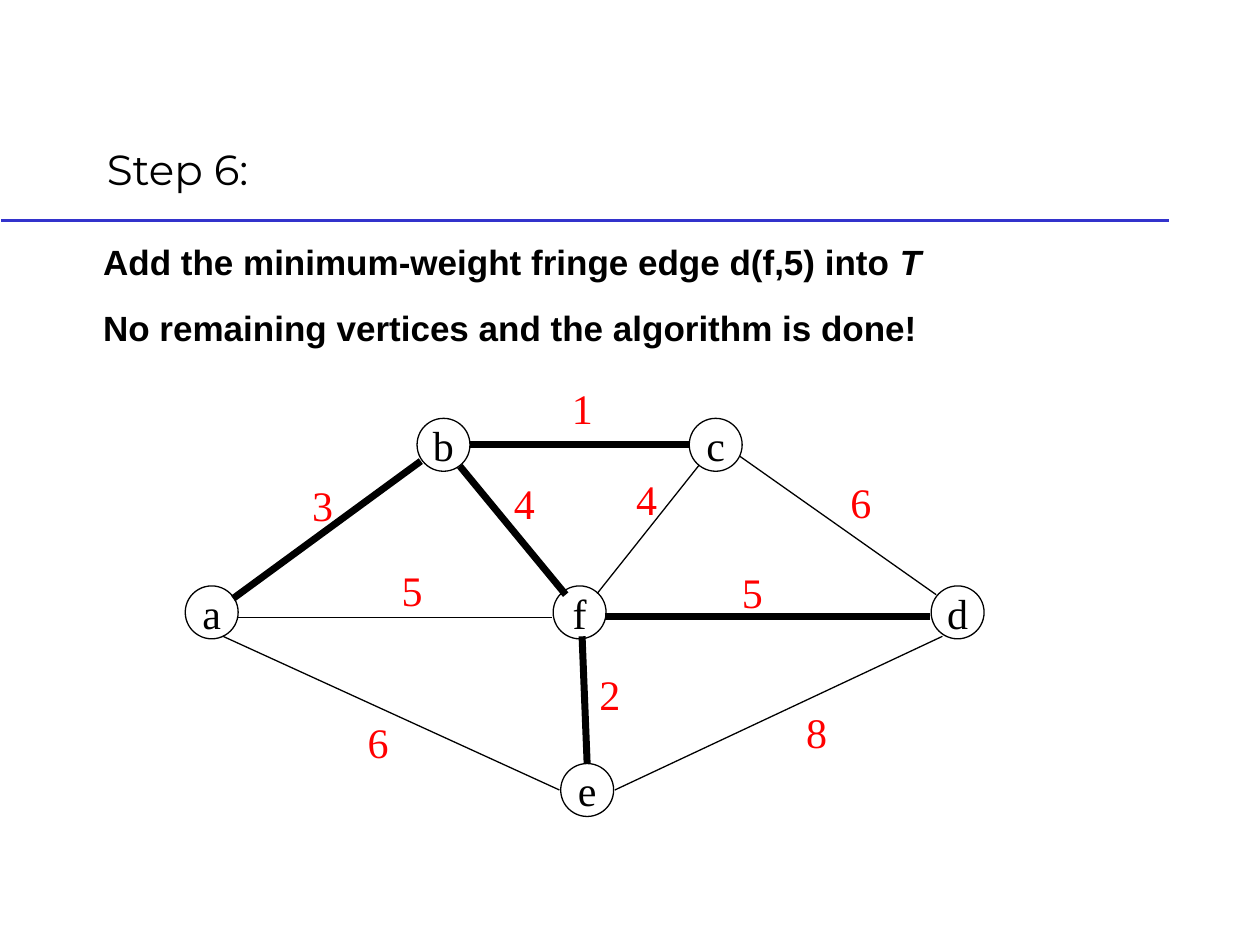
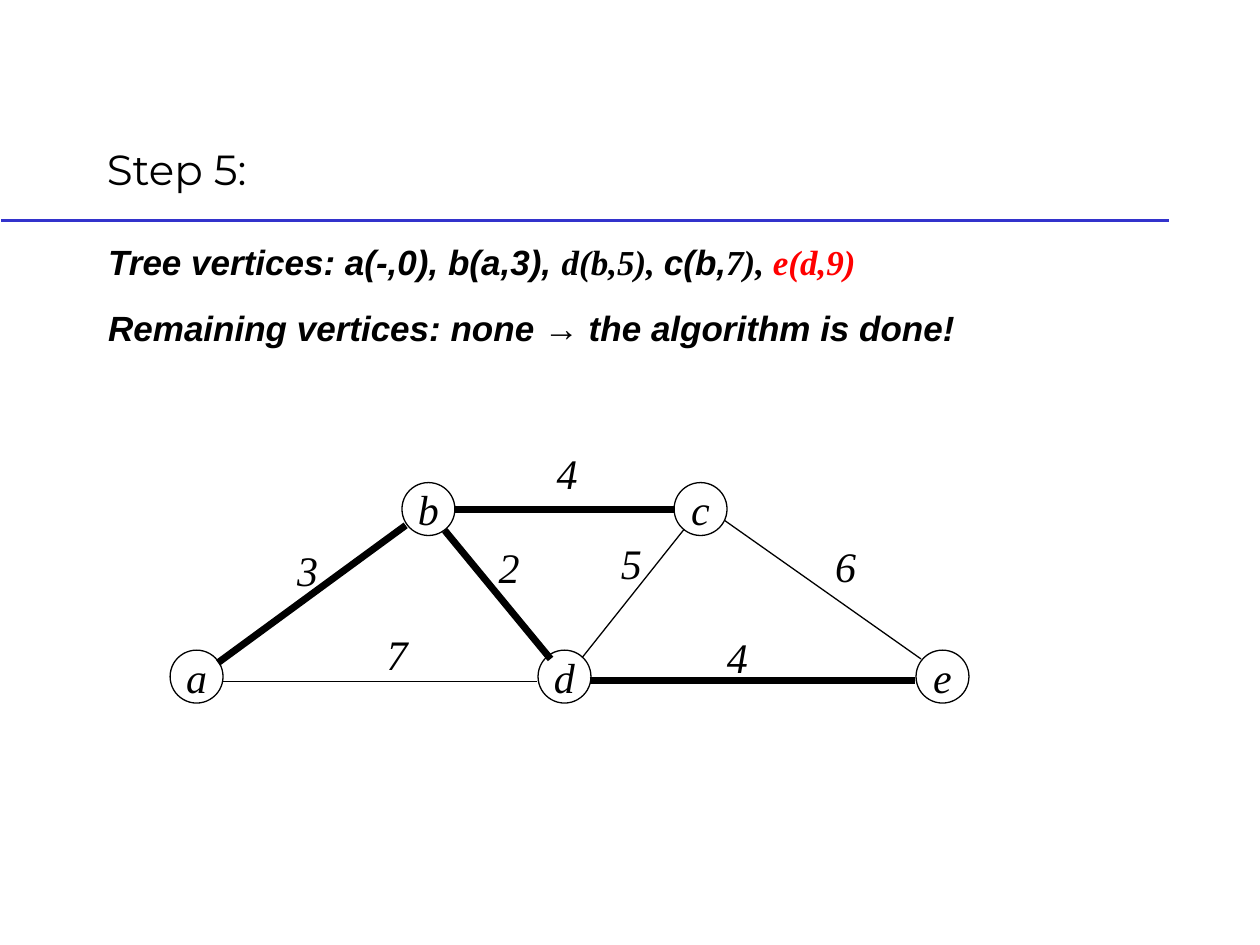
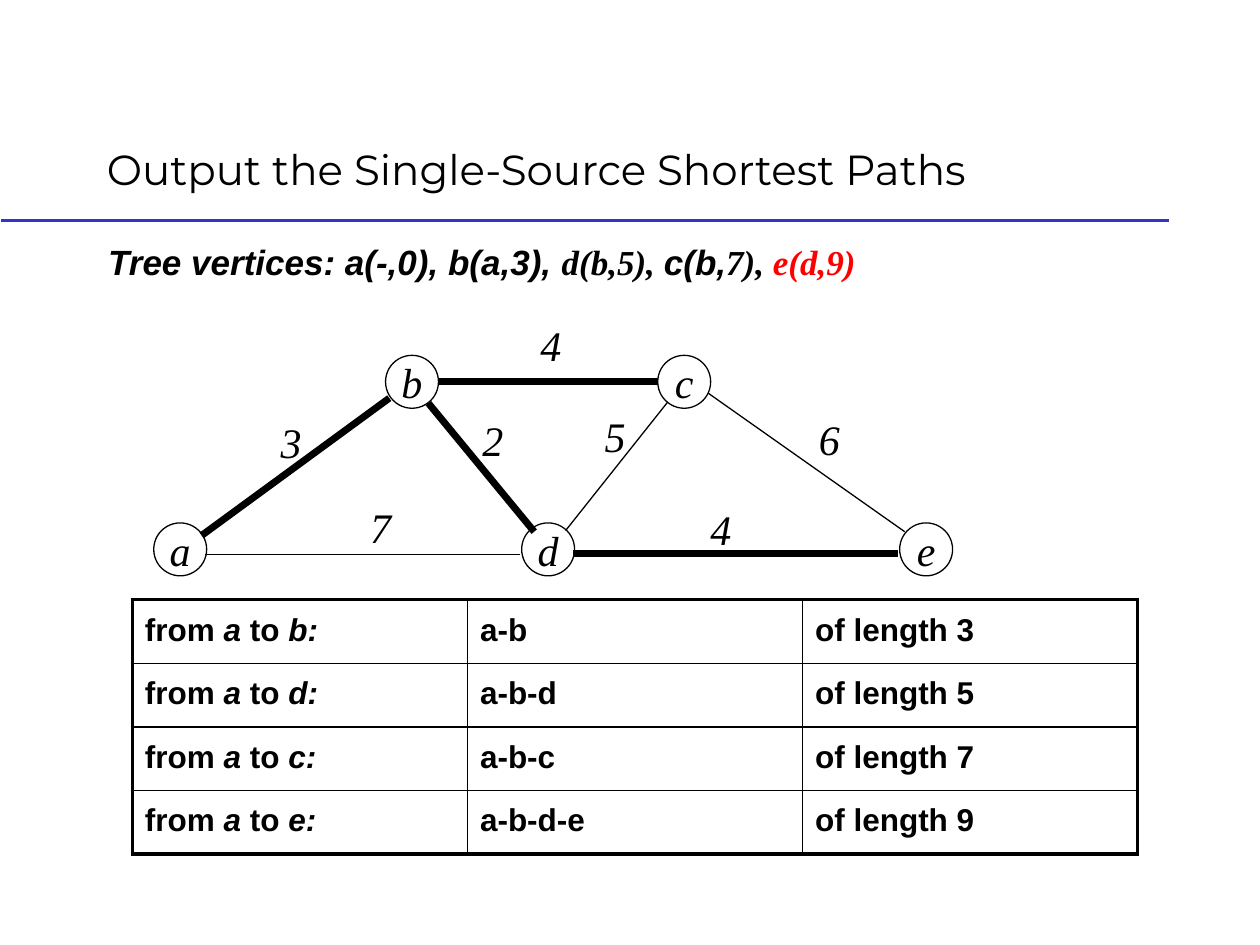
from dataclasses import dataclass

from lxml.etree import SubElement
from pptx import Presentation
from pptx.dml.color import RGBColor
from pptx.enum.shapes import MSO_CONNECTOR, MSO_SHAPE
from pptx.enum.text import MSO_ANCHOR, PP_ALIGN
from pptx.oxml.ns import qn
from pptx.util import Inches, Pt


@dataclass(frozen=True)
class Theme:
    black: str = "000000"
    red: str = "FF0000"
    rule: str = "3333CC"
    title_font: str = "Montserrat"
    body_font: str = "Arial"
    math_font: str = "Times New Roman"
    title_size: float = 24
    body_size: float = 20
    cell_size: float = 18
    graph_size: float = 24
    rule_width: float = 1.5
    thin: float = 0.75
    thick: float = 4
    cell_line: float = 1
    table_frame: float = 2.25


THEME = Theme()
NODE_SIZE = 0.42
LABEL_SIZE = (0.37, 0.5)

# Graph positions are inches from the graph's top left corner.
# Nodes: left, top. Edges: from, to, place of the weight.
UPPER_NODES = {
    "left": (0, 1.66),
    "top left": (1.84, 0.33),
    "top right": (4, 0.33),
    "middle": (2.92, 1.66),
    "right": (5.92, 1.66),
}
UPPER_EDGES = {
    "left, top left": ((1.87, 0.67), (0.38, 1.76), (0.91, 0.77)),
    "top left, top right": ((2.26, 0.54), (4, 0.54), (2.97, 0)),
    "top right, right": ((4.4, 0.63), (5.96, 1.73), (5.18, 0.74)),
    "top left, middle": ((2.18, 0.71), (3.02, 1.73), (2.51, 0.75)),
    "top right, middle": ((4.08, 0.7), (3.27, 1.72), (3.48, 0.72)),
    "left, middle": ((0.41, 1.91), (2.91, 1.91), (1.62, 1.44)),
    "middle, right": ((3.33, 1.9), (5.91, 1.9), (4.32, 1.46)),
}
ALL_NODES = UPPER_NODES | {"bottom": (2.98, 3.07)}
ALL_EDGES = UPPER_EDGES | {
    "middle, bottom": ((3.19, 3.07), (3.15, 2.06), (3.19, 2.27)),
    "left, bottom": ((0.3, 2.06), (2.97, 3.28), (1.35, 2.65)),
    "bottom, right": ((3.41, 3.28), (6.01, 2.06), (4.83, 2.57)),
}
TREE_EDGES = {"left, top left", "top left, top right", "top left, middle",
              "middle, right", "middle, bottom"}


class Deck:
    def __init__(self, theme):
        self.theme = theme
        self.prs = Presentation()
        self.prs.slide_width, self.prs.slide_height = Inches(10), Inches(7.5)
        self.slide = None

    def new_slide(self, title):
        t = self.theme
        self.slide = self.prs.slides.add_slide(self.prs.slide_layouts[6])
        shapes = self.slide.shapes
        self.line(shapes, (0.01, 1.75), (9.28, 1.75), t.rule, t.rule_width)
        tf = self.text_box(shapes, 0.75, 0.67, 8.5, 0.92)
        tf.vertical_anchor = MSO_ANCHOR.BOTTOM
        self.run(tf.paragraphs[0], title, t.title_font, t.title_size)

    def run(self, p, text, font, size, color=None, bold=False, italic=False):
        r = p.add_run()
        r.text = text
        r.font.name, r.font.size = font, Pt(size)
        r.font.bold, r.font.italic = bold, italic
        r.font.color.rgb = RGBColor.from_string(color or self.theme.black)

    def text_box(self, shapes, x, y, w, h, wrap=True):
        tf = shapes.add_textbox(Inches(x), Inches(y), Inches(w), Inches(h)).text_frame
        tf.word_wrap = wrap
        return tf

    def line(self, shapes, start, end, color, width):
        cx = shapes.add_connector(MSO_CONNECTOR.STRAIGHT,
                                  *(Inches(v) for v in (*start, *end)))
        cx.line.color.rgb = RGBColor.from_string(color)
        cx.line.width = Pt(width)
        SubElement(cx._element.spPr, qn("a:effectLst"))

    def body(self, x, paragraphs):
        """Each paragraph is a list of (text, style) pairs; style overrides bold Arial."""
        t = self.theme
        tf = self.text_box(self.slide.shapes, x, 1.9, 8.5, 5)
        for i, runs in enumerate(paragraphs):
            p = tf.add_paragraph() if i else tf.paragraphs[0]
            p.line_spacing = 0.9
            if i:
                p.space_before = Pt(16)
            for text, style in runs:
                self.run(p, text, **{"font": t.body_font, "size": t.body_size,
                                     "bold": True, **style})

    def node(self, shapes, x, y, name, italic):
        t = self.theme
        sp = shapes.add_shape(MSO_SHAPE.OVAL, Inches(x), Inches(y),
                              Inches(NODE_SIZE), Inches(NODE_SIZE))
        sp.shadow.inherit = False
        sp.fill.background()
        sp.line.color.rgb = RGBColor.from_string(t.black)
        sp.line.width = Pt(t.thin)
        tf = sp.text_frame
        tf.word_wrap = False
        tf.vertical_anchor = MSO_ANCHOR.MIDDLE
        p = tf.paragraphs[0]
        p.alignment = PP_ALIGN.CENTER
        self.run(p, name, t.math_font, t.graph_size, italic=italic)

    def graph(self, origin, nodes, names, edges, weights, weight_color, italic):
        """Names and weights follow the order of nodes and edges."""
        t = self.theme
        shapes = self.slide.shapes.add_group_shape().shapes

        def place(point):
            return origin[0] + point[0], origin[1] + point[1]

        for point, name in zip(nodes.values(), names):
            self.node(shapes, *place(point), name, italic)
        for (edge, (start, end, label)), weight in zip(edges.items(), weights):
            width = t.thick if edge in TREE_EDGES else t.thin
            self.line(shapes, place(start), place(end), t.black, width)
            tf = self.text_box(shapes, *place(label), *LABEL_SIZE, wrap=False)
            self.run(tf.paragraphs[0], weight, t.math_font, t.graph_size,
                     weight_color, italic=italic)

    def cell_border(self, cell, side, width):
        ln = SubElement(cell._tc.get_or_add_tcPr(), qn(f"a:ln{side}"), w=str(Pt(width)))
        fill = SubElement(ln, qn("a:solidFill"))
        SubElement(fill, qn("a:srgbClr"), val=self.theme.black)

    def table(self, x, y, w, h, rows):
        """Each cell is a list of (text, italic) pairs."""
        t = self.theme
        n_rows, n_cols = len(rows), len(rows[0])
        table = self.slide.shapes.add_table(n_rows, n_cols, Inches(x), Inches(y),
                                            Inches(w), Inches(h)).table
        table.first_row = table.horz_banding = False
        for i, row in enumerate(rows):
            for j, runs in enumerate(row):
                cell = table.cell(i, j)
                outer = {"L": j == 0, "R": j == n_cols - 1,
                         "T": i == 0, "B": i == n_rows - 1}
                for side, on_frame in outer.items():
                    self.cell_border(cell, side, t.table_frame if on_frame else t.cell_line)
                cell.fill.background()
                cell.vertical_anchor = MSO_ANCHOR.MIDDLE
                p = cell.text_frame.paragraphs[0]
                p.line_spacing = 0.9
                for text, italic in runs:
                    self.run(p, text, t.body_font, t.cell_size, bold=True, italic=italic)


def main():
    deck = Deck(THEME)
    italic = {"italic": True}
    math = {"italic": True, "font": THEME.math_font}
    tree_vertices = [
        ("Tree vertices: a(-,0), b(a,3), ", italic),
        ("d(b,5), ", math),
        ("c(b,", italic),
        ("7), ", math),
        ("e(d,9)", {**math, "color": THEME.red}),
    ]
    paths_graph = (UPPER_NODES, "abcde", UPPER_EDGES, "3462574", THEME.black, True)

    deck.new_slide("Step 6:")
    deck.graph((1.47, 2.99), ALL_NODES, "abcfde", ALL_EDGES, "3164455268",
               THEME.red, False)
    deck.body(0.72, [
        [("Add the minimum-weight fringe edge d(f,5) into ", {}), ("T", italic)],
        [("No remaining vertices and the algorithm is done!", {})],
    ])

    deck.new_slide("Step 5:")
    deck.body(0.76, [
        tree_vertices,
        [("Remaining vertices: none → the algorithm is done!", italic)],
    ])
    deck.graph((1.35, 3.5), *paths_graph)

    deck.new_slide("Output the Single-Source Shortest Paths")
    deck.body(0.76, [tree_vertices])
    deck.graph((1.22, 2.49), *paths_graph)
    paths = [("a-b", 3), ("a-b-d", 5), ("a-b-c", 7), ("a-b-d-e", 9)]
    deck.table(1.05, 4.76, 7.98, 2.02, [
        [[("from ", False), ("a", True), (" to ", False), (f"{path[-1]}:", True)],
         [(path, False)],
         [(f"of length {length}", False)]]
        for path, length in paths
    ])

    deck.prs.save("out.pptx")


if __name__ == "__main__":
    main()
